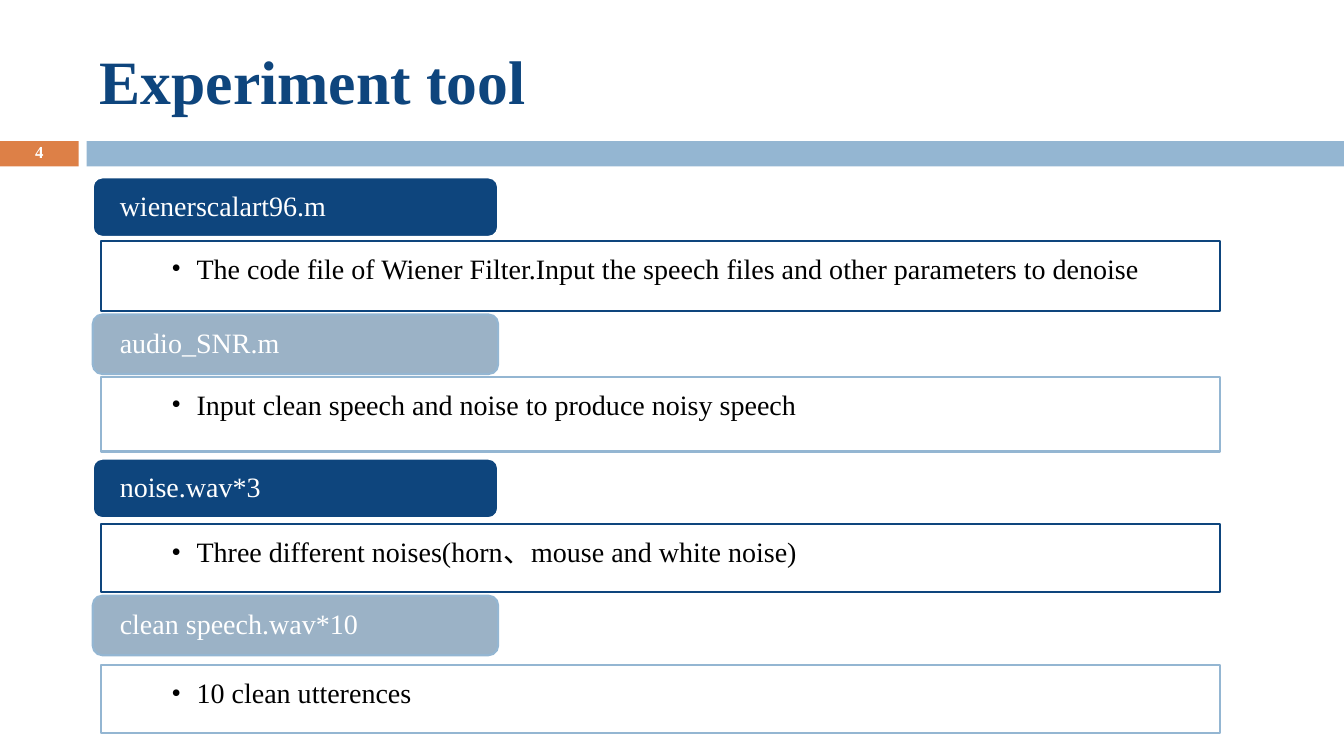
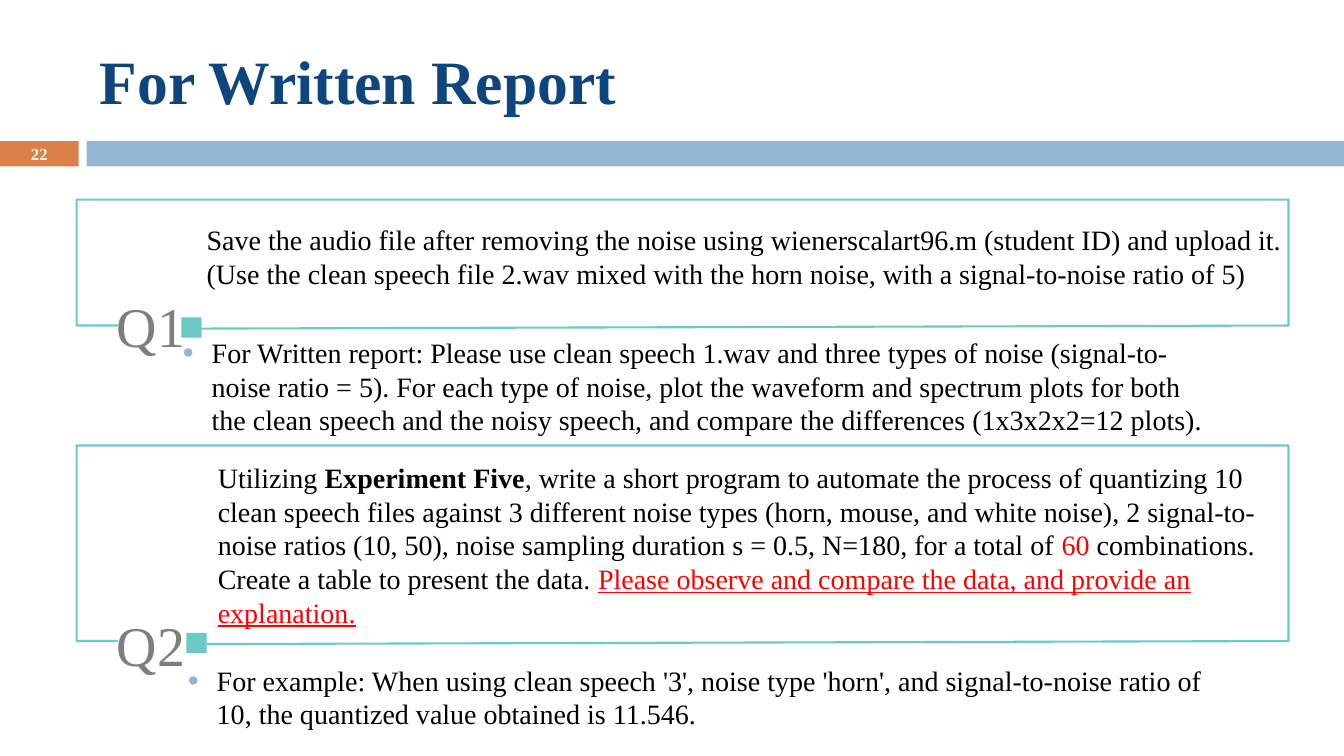
from dataclasses import dataclass

from lxml.etree import SubElement
from pptx import Presentation
from pptx.dml.color import RGBColor
from pptx.enum.shapes import MSO_SHAPE as Preset
from pptx.enum.text import MSO_ANCHOR as Anchor, PP_ALIGN as Align
from pptx.oxml.ns import qn
from pptx.util import Emu, Pt

EMU_PER_PX = 9144
SLIDE_WIDTH, SLIDE_HEIGHT = 1333, 750
FONT = "Times New Roman"

NAVY = RGBColor(0x0E, 0x45, 0x7D)
SKY = RGBColor(0x94, 0xB6, 0xD2)
SLATE = RGBColor(0x9B, 0xB2, 0xC6)
ORANGE = RGBColor(0xDD, 0x80, 0x47)
TEAL = RGBColor(0x6B, 0xCA, 0xC5)
GRAY = RGBColor(0x7E, 0x7E, 0x7E)
RED = RGBColor(0xFF, 0x00, 0x00)
BLACK = RGBColor(0x00, 0x00, 0x00)
WHITE = RGBColor(0xFF, 0xFF, 0xFF)


@dataclass
class Box:
    """A rectangle in px."""
    left: int
    top: int
    width: int
    height: int

    def emu(self):
        """Return the four lengths in EMU."""
        return [px(value) for value in (self.left, self.top, self.width, self.height)]


@dataclass
class Span:
    """A piece of text with its own look."""
    text: str
    color: RGBColor = BLACK
    size: int = 20
    bold: bool = False
    underline: bool = False


@dataclass
class Question:
    """A framed question with its label, prompt lines and note."""
    label: str
    frame: Box
    label_rise: int
    shift: int
    prompt: Box
    lines: list
    note_top: int
    note: str


TOOLS = [
    (176, Box(100, 239, 1110, 70), "wienerscalart96.m",
     "The code file of Wiener Filter.Input the speech files and other parameters to denoise"),
    (312, Box(100, 374, 1110, 74), "audio_SNR.m",
     "Input clean speech and noise to produce noisy speech"),
    (455, Box(100, 520, 1110, 67), "noise.wav*3",
     "Three different noises(horn、mouse and white noise)"),
    (591, Box(100, 660, 1110, 67), "clean speech.wav*10", "10 clean utterences"),
]
TOOL_LOOKS = [(NAVY, WHITE, NAVY), (SLATE, SKY, SKY)]

QUESTIONS = [
    Question(
        "Q1", Box(76, 198, 1202, 125), 34, 0, Box(205, 221, 1084, 101),
        [[Span("Save the audio file after removing the noise using wienerscalart96.m "
               "(student ID) and upload it.")],
         [Span("(Use the clean speech file 2.wav mixed with the horn noise, "
               "with a signal-to-noise ratio of 5)")]],
        333,
        "For Written report: Please use clean speech 1.wav and three types of noise "
        "(signal-to-noise ratio = 5). For each type of noise, plot the waveform and "
        "spectrum plots for both the clean speech and the noisy speech, and compare "
        "the differences (1x3x2x2=12 plots)."),
    Question(
        "Q2", Box(76, 442, 1202, 194), 30, 5, Box(216, 457, 1041, 168),
        [[Span("Utilizing "),
          Span("Experiment Five", bold=True),
          Span(", write a short program to automate the process of quantizing 10 clean "
               "speech files against 3 different noise types (horn, mouse, and white "
               "noise), 2 signal-to-noise ratios (10, 50), noise sampling duration "
               "s = 0.5, N=180, for a total of "),
          Span("60 ", RED),
          Span("combinations. Create a table to present the data. "),
          Span("Please observe and compare the data, and provide an explanation.",
               RED, underline=True)]],
        658,
        "For example: When using clean speech '3', noise type 'horn', and "
        "signal-to-noise ratio of 10, the quantized value obtained is 11.546."),
]


def px(value):
    """Turn px into EMU."""
    return Emu(value * EMU_PER_PX)


def paint(shape, fill=None, line=None):
    """Set fill and outline, and drop the shadow."""
    shape.shadow.inherit = False
    if fill is None:
        shape.fill.background()
    else:
        shape.fill.solid()
        shape.fill.fore_color.rgb = fill
    if line is None:
        shape.line.fill.background()
    else:
        shape.line.color.rgb = line
        shape.line.width = Pt(1.5)


def add_panel(slide, box, fill, line=None, preset=Preset.RECTANGLE):
    """Add a preset shape."""
    shape = slide.shapes.add_shape(preset, *box.emu())
    paint(shape, fill, line)
    return shape


def add_bullet(paragraph, character, indent, color=None, percent=100):
    """Give a paragraph a hanging bullet."""
    properties = paragraph._p.get_or_add_pPr()
    properties.set("marL", str(px(indent)))
    properties.set("indent", str(-px(indent)))
    if color is not None:
        holder = SubElement(properties, qn("a:buClr"))
        SubElement(holder, qn("a:srgbClr")).set("val", str(color))
    SubElement(properties, qn("a:buSzPct")).set("val", str(percent * 1000))
    SubElement(properties, qn("a:buFont")).set("typeface", FONT)
    SubElement(properties, qn("a:buChar")).set("char", character)


def write(shape, lines, insets=(0, 0), anchor=Anchor.TOP, align=Align.LEFT,
          spacing=1.0, bullet=None):
    """Fill a shape with paragraphs made of spans."""
    frame = shape.text_frame
    frame.word_wrap = True
    frame.vertical_anchor = anchor
    frame.margin_left = frame.margin_right = px(insets[0])
    frame.margin_top = frame.margin_bottom = px(insets[1])
    for index, spans in enumerate(lines):
        paragraph = frame.add_paragraph() if index else frame.paragraphs[0]
        if bullet:
            add_bullet(paragraph, *bullet)
        paragraph.alignment = align
        paragraph.line_spacing = spacing
        for span in spans:
            run = paragraph.add_run()
            run.text = span.text
            font = run.font
            font.name = FONT
            font.size = Pt(span.size)
            font.color.rgb = span.color
            font.bold = span.bold
            font.underline = span.underline


def add_text(slide, box, lines, **layout):
    """Add a text box."""
    write(slide.shapes.add_textbox(*box.emu()), lines, **layout)


def add_base(presentation, title, number, number_spacing=1.0):
    """Add a slide with the shared bands, title and page number."""
    slide = presentation.slides.add_slide(presentation.slide_layouts[6])
    add_panel(slide, Box(0, 140, 78, 25), ORANGE)
    add_panel(slide, Box(86, 140, SLIDE_WIDTH - 86, 25), SKY)
    add_text(slide, Box(89, 25, 1189, 108), [[Span(title, NAVY, 44, True)]],
             insets=(10, 5), anchor=Anchor.MIDDLE)
    add_text(slide, Box(0, 139, 78, 27), [[Span(number, WHITE, 12, True)]],
             insets=(10, 5), anchor=Anchor.MIDDLE, align=Align.CENTER,
             spacing=number_spacing)
    return slide


def add_tool(slide, header_top, box, name, purpose, look):
    """Add a tool's description box and its header tab."""
    fill, edge, border = look
    body = add_panel(slide, box, WHITE, border)
    write(body, [[Span(purpose)]], insets=(70, 14), spacing=0.9, bullet=("•", 25))
    header = add_panel(slide, Box(box.left - 8, header_top, 402, 59), fill, edge,
                       Preset.ROUNDED_RECTANGLE)
    header.adjustments[0] = 0.16
    write(header, [[Span(name, WHITE)]], insets=(24, 3), anchor=Anchor.MIDDLE, spacing=0.9)


def add_frame(slide, box):
    """Add an outline left open at the bottom for the label."""
    right, bottom = box.left + box.width, box.top + box.height
    builder = slide.shapes.build_freeform(box.left + 41, bottom, scale=EMU_PER_PX)
    builder.add_line_segments(
        [(box.left, bottom), (box.left, box.top), (right, box.top),
         (right, bottom), (box.left + 119, bottom + 3)], close=False)
    paint(builder.convert_to_shape(), line=TEAL)


def add_question(slide, question):
    """Add one question, placed against its frame."""
    left = question.frame.left + question.shift
    bottom = question.frame.top + question.frame.height
    add_frame(slide, question.frame)
    add_panel(slide, Box(left + 104, bottom - 8, 20, 20), TEAL)
    add_text(slide, Box(question.frame.left + 40, bottom - question.label_rise, 71, 67),
             [[Span(question.label, GRAY, 40)]])
    add_text(slide, question.prompt, question.lines)
    add_text(slide, Box(left + 105, question.note_top, 1014, 67), [[Span(question.note)]],
             bullet=("●", 29, SKY, 70))


def build_tools(presentation):
    """Build the slide of experiment tools."""
    slide = add_base(presentation, "Experiment tool", "4", 0.8)
    for index, tool in enumerate(TOOLS):
        add_tool(slide, *tool, TOOL_LOOKS[index % len(TOOL_LOOKS)])


def build_report(presentation):
    """Build the slide of report questions."""
    slide = add_base(presentation, "For Written Report", "22")
    for question in QUESTIONS:
        add_question(slide, question)


def main():
    """Build and save the presentation."""
    presentation = Presentation()
    presentation.slide_width = px(SLIDE_WIDTH)
    presentation.slide_height = px(SLIDE_HEIGHT)
    build_tools(presentation)
    build_report(presentation)
    presentation.save("out.pptx")


if __name__ == "__main__":
    main()
